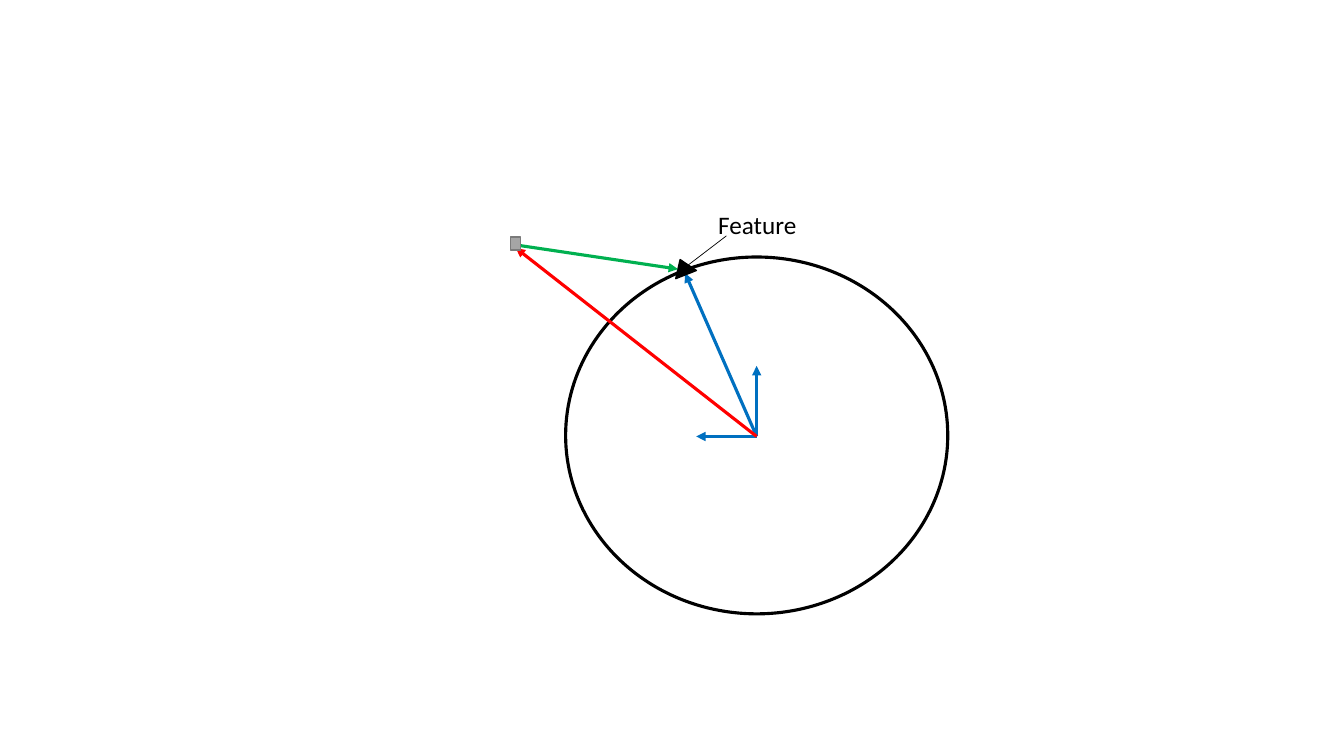
from pptx import Presentation
from pptx.dml.color import RGBColor
from pptx.enum.shapes import MSO_CONNECTOR, MSO_SHAPE
from pptx.oxml.ns import qn
from pptx.util import Inches, Pt
from lxml.etree import SubElement

BLACK = RGBColor(0x00, 0x00, 0x00)
BLUE = RGBColor(0x00, 0x70, 0xC0)
GREEN = RGBColor(0x00, 0xB0, 0x50)
RED = RGBColor(0xFF, 0x00, 0x00)
GREY = RGBColor(0xA5, 0xA5, 0xA5)
EDGE = RGBColor(0x7A, 0x7A, 0x7A)


def add_form(slide, kind, box, fill, color, width, turn=0):
    """Draw one outlined shape, filled when a fill is given."""
    form = slide.shapes.add_shape(kind, *map(Inches, box))
    form.shadow.inherit = False
    form.rotation = turn
    if fill is None:
        form.fill.background()
    else:
        form.fill.solid()
        form.fill.fore_color.rgb = fill
    form.line.color.rgb = color
    form.line.width = Pt(width)


def add_line(slide, start, end, color, width=2.25, arrow=True):
    """Draw a straight line, with an arrowhead at its end if asked."""
    line = slide.shapes.add_connector(
        MSO_CONNECTOR.STRAIGHT, *map(Inches, (*start, *end)))
    line.line.color.rgb = color
    line.line.width = Pt(width)
    if arrow:
        SubElement(line.line._get_or_add_ln(), qn("a:tailEnd"), type="triangle")
    SubElement(line._element.spPr, qn("a:effectLst"))


def add_label(slide, box, text):
    """Write a label in the given box."""
    frame = slide.shapes.add_textbox(*map(Inches, box)).text_frame
    frame.word_wrap = True
    run = frame.paragraphs[0].add_run()
    run.text = text
    run.font.name = "Calibri"
    run.font.size = Pt(18)
    run.font.color.rgb = BLACK


def draw_scene(slide, left, top, width, height):
    """Draw the round body, its axes, the feature and the observer."""
    mid = (left + width / 2, top + height / 2 + 0.01)

    def place(across, down):
        """Give a point measured from the centre of the body."""
        return mid[0] + across, mid[1] + down

    add_form(slide, MSO_SHAPE.OVAL, (left, top, width, height), None, BLACK, 2.25)
    for tip in ((0, -0.7), (-0.6, 0), (-0.71, -1.62)):
        add_line(slide, mid, place(*tip), BLUE)
    add_form(slide, MSO_SHAPE.ISOSCELES_TRIANGLE,
             (*place(-0.84, -1.76), 0.22, 0.16), BLACK, BLACK, 1, 338.5)
    add_label(slide, (*place(-0.48, -2.3), 1.5, 0.4), "Feature")
    add_line(slide, place(-2.39, -1.9), place(-0.78, -1.66), GREEN)
    add_line(slide, mid, place(-2.39, -1.87), RED)
    add_form(slide, MSO_SHAPE.RECTANGLE,
             (*place(-2.44, -1.98), 0.1, 0.13), GREY, EDGE, 1)
    add_line(slide, place(-0.68, -1.7), place(-0.3, -1.99), BLACK, 0.5, False)


def main():
    """Build the slide and save it."""
    deck = Presentation()
    deck.slide_width = Inches(13.33)
    deck.slide_height = Inches(7.5)
    slide = deck.slides.add_slide(deck.slide_layouts[6])
    draw_scene(slide, 5.61, 2.55, 3.79, 3.54)
    deck.save("out.pptx")


if __name__ == "__main__":
    main()
